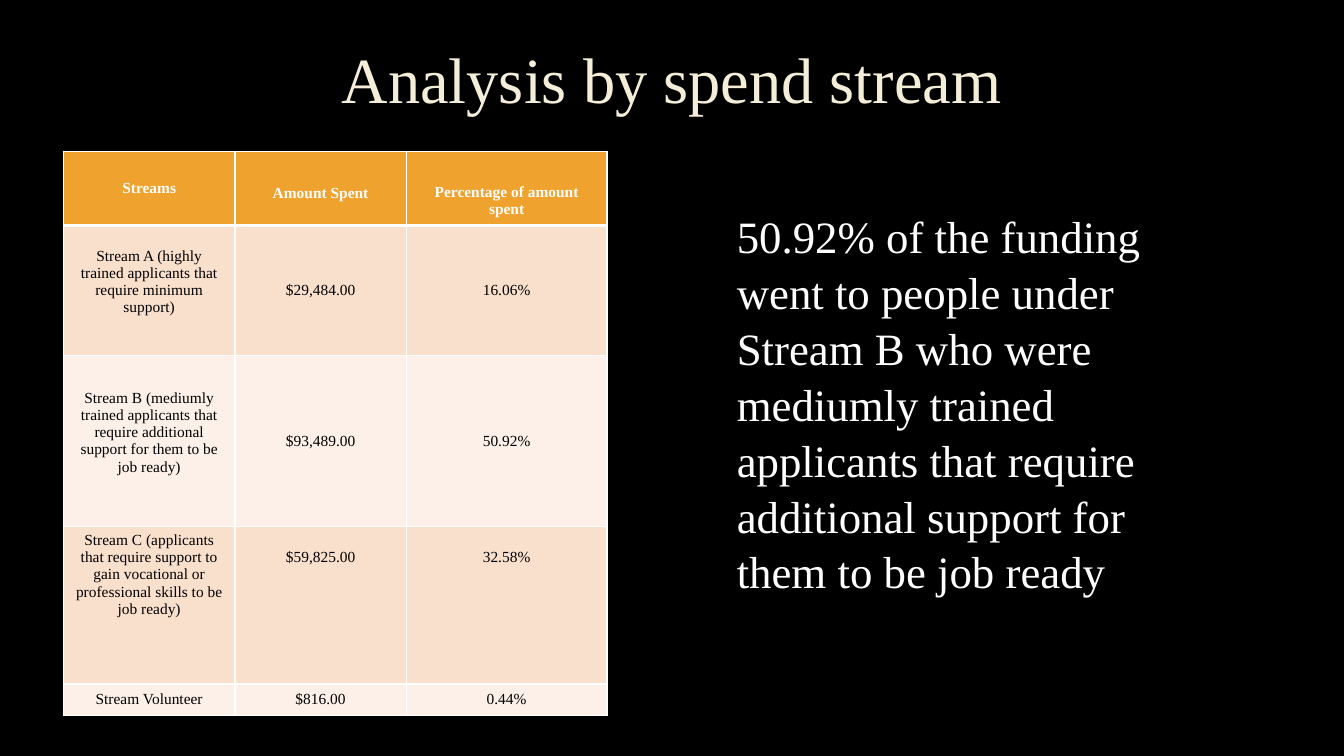
import pptx
import pptx.util
import pptx.dml.color
import pptx.enum.text
import pptx.oxml
import pptx.oxml.ns
from pptx.util import Inches

FONT = "Times New Roman"
ALIGN = pptx.enum.text.PP_ALIGN
ANCHOR = pptx.enum.text.MSO_ANCHOR

HEAD = ["Streams", "Amount Spent", "Percentage of amount spent"]
ROWS = [
    ["Stream A (highly trained applicants that require minimum support)",
     "$29,484.00", "16.06%"],
    ["Stream B (mediumly trained applicants that require additional support"
     " for them to be job ready)", "$93,489.00", "50.92%"],
    ["Stream C (applicants that require support to gain vocational or"
     " professional skills to be job ready)", "$59,825.00", "32.58%"],
    ["Stream Volunteer", "$816.00", "0.44%"],
]
WIDTHS = [1.7, 1.7, 1.99]
HEIGHTS = [0.73, 1.29, 1.7, 1.56, 0.31]
BANDS = ["F9E0CD", "FCF0E8"]
TOP_ROW = 3
# Top and bottom cell margins that differ from the usual 0.05
MARGINS = {(0, 1): (0.15, 0.05), (0, 2): (0.32, 0.05),
           (1, 0): (0.05, 0.22), (2, 0): (0.05, 0.22),
           (3, 1): (0.22, 0.05), (3, 2): (0.22, 0.05)}


def color(code):
    return pptx.dml.color.RGBColor.from_string(code)


def write(frame, text, size=11, tint="000000", bold=False,
          align=ALIGN.CENTER, line=None):
    frame.word_wrap = True
    para = frame.paragraphs[0]
    para.alignment = align
    para.line_spacing = line
    run = para.add_run()
    run.text = text
    run.font.name = FONT
    run.font.size = pptx.util.Pt(size)
    run.font.bold = bold
    run.font.color.rgb = color(tint)


def border(cell, sides):
    """Draw white lines; sides maps L, R, T and B to widths in points."""
    props = cell._tc.get_or_add_tcPr()
    for spot, (side, width) in enumerate(sides.items()):
        props.insert(spot, pptx.oxml.parse_xml(
            f'<a:ln{side} {pptx.oxml.ns.nsdecls("a")} w="{pptx.util.Pt(width)}">'
            '<a:solidFill><a:srgbClr val="FFFFFF"/></a:solidFill>'
            f'</a:ln{side}>'))


def add_text(slide, box, text, anchor=ANCHOR.TOP, **style):
    frame = slide.shapes.add_textbox(*map(Inches, box)).text_frame
    frame.vertical_anchor = anchor
    write(frame, text, **style)


def add_grid(slide, box):
    data = [HEAD] + ROWS
    table = slide.shapes.add_table(
        len(data), len(HEAD), *map(Inches, box)).table
    for col, width in zip(table.columns, WIDTHS):
        col.width = Inches(width)
    for row, height in zip(table.rows, HEIGHTS):
        row.height = Inches(height)
    for r, texts in enumerate(data):
        for c, text in enumerate(texts):
            cell = table.cell(r, c)
            cell.fill.solid()
            cell.fill.fore_color.rgb = color(
                BANDS[(r - 1) % 2] if r else "F0A22E")
            top, low = MARGINS.get((r, c), (0.05, 0.05))
            cell.margin_top, cell.margin_bottom = Inches(top), Inches(low)
            high = r == TOP_ROW or (r, c) == (0, 2)
            cell.vertical_anchor = ANCHOR.TOP if high else ANCHOR.MIDDLE
            border(cell, {"L": 1, "R": 1, "T": 3 if r == 1 else 1,
                          "B": 1 if r else 3})
            write(cell.text_frame, text, bold=not r,
                  tint="000000" if r else "FFFFFF")


def main():
    deck = pptx.Presentation()
    deck.slide_width, deck.slide_height = Inches(13.33), Inches(7.5)
    slide = deck.slides.add_slide(deck.slide_layouts[6])
    slide.background.fill.solid()
    slide.background.fill.fore_color.rgb = color("000000")
    add_text(slide, (1, 0.13, 11.32, 1.38), "Analysis by spend stream",
             anchor=ANCHOR.MIDDLE, size=46, tint="F4EDD8", line=0.9)
    add_grid(slide, (0.63, 1.5, sum(WIDTHS), sum(HEIGHTS)))
    add_text(slide, (7.21, 2, 5.03, 3.87),
             "50.92% of the funding went to people under Stream B who were "
             "mediumly trained applicants that require additional support "
             "for them to be job ready",
             size=32, tint="FFFFFF", align=ALIGN.LEFT, line=1.04)
    deck.save("out.pptx")


if __name__ == "__main__":
    main()
